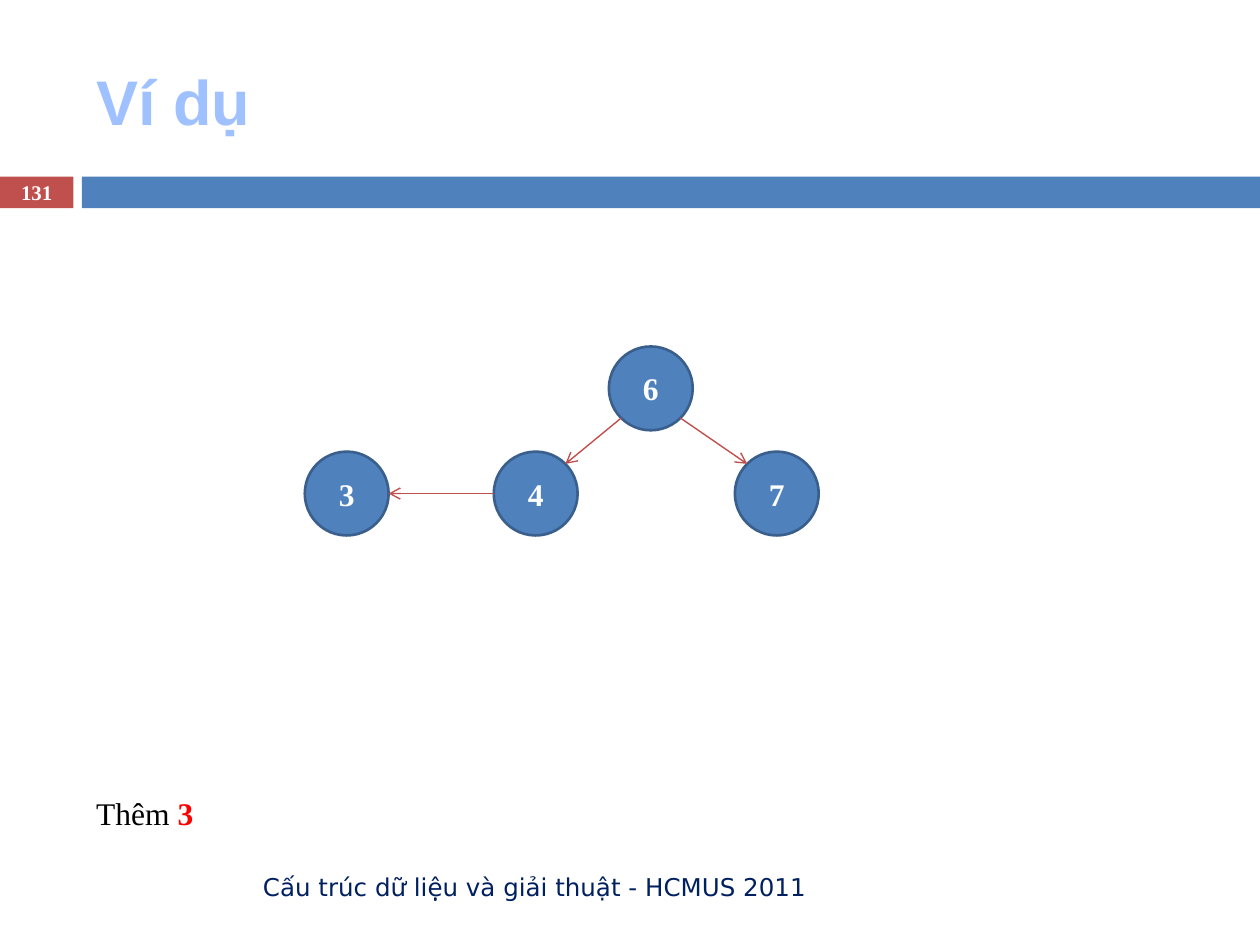
from math import sqrt

from lxml import etree
from pptx import Presentation
from pptx.dml.color import RGBColor
from pptx.enum.shapes import MSO_CONNECTOR, MSO_SHAPE
from pptx.enum.text import MSO_ANCHOR, MSO_AUTO_SIZE, PP_ALIGN
from pptx.oxml.ns import qn
from pptx.util import Cm, Pt

RECT = MSO_SHAPE.RECTANGLE
OVAL = MSO_SHAPE.OVAL
LINE = MSO_CONNECTOR.STRAIGHT
TOP = MSO_ANCHOR.TOP
MID = MSO_ANCHOR.MIDDLE
FIXED = MSO_AUTO_SIZE.NONE
GROW = MSO_AUTO_SIZE.SHAPE_TO_FIT_TEXT
LEFT = PP_ALIGN.LEFT
CENTER = PP_ALIGN.CENTER
RIGHT = PP_ALIGN.RIGHT

SERIF = "Times New Roman"
BLUE = "4F81BD"
RED = "C0504D"
WHITE = "FFFFFF"
SIZE = 1.69
DIAG = SIZE / 2 / sqrt(2)
NODES = {
    "6": (13.12, 7.83),
    "7": (15.66, 9.95),
    "4": (10.8, 9.95),
    "3": (6.99, 9.95),
}
EDGES = [
    ("6", (-DIAG, DIAG), "4", (DIAG, -DIAG)),
    ("6", (DIAG, DIAG), "7", (-DIAG, -DIAG)),
    ("4", (-SIZE / 2, 0), "3", (SIZE / 2, 0)),
]


def paint(form, color):
    form.solid()
    form.fore_color.rgb = RGBColor.from_string(color)


def write(frame, runs, align=LEFT, anchor=MID, fit=FIXED):
    frame.word_wrap = True
    frame.auto_size = fit
    frame.vertical_anchor = anchor
    para = frame.paragraphs[0]
    para.alignment = align
    for text, size, face, color, bold in runs:
        run = para.add_run()
        run.text = text
        run.font.size = Pt(size)
        run.font.name = face
        run.font.bold = bold
        paint(run.font.fill, color)


def add_shape(slide, kind, box, color):
    shape = slide.shapes.add_shape(kind, *map(Cm, box))
    shape.shadow.inherit = False
    paint(shape.fill, color)
    shape.line.fill.background()
    return shape


def add_text(slide, box, runs, **style):
    frame = slide.shapes.add_textbox(*map(Cm, box)).text_frame
    write(frame, runs, **style)
    return frame


def add_node(slide, label, x, y):
    box = (x - SIZE / 2, y - SIZE / 2, SIZE, SIZE)
    node = add_shape(slide, OVAL, box, BLUE)
    paint(node.line.fill, "3A5F8C")
    node.line.width = Pt(1.5)
    write(node.text_frame, [(label, 18, SERIF, WHITE, True)], align=CENTER)


def add_arrow(slide, start, end):
    arrow = slide.shapes.add_connector(LINE, *map(Cm, start + end))
    paint(arrow.line.fill, RED)
    arrow.line.width = Pt(0.79)
    props = arrow._element.spPr
    etree.SubElement(props.find(qn("a:ln")), qn("a:tailEnd"), type="arrow")
    etree.SubElement(props, qn("a:effectLst"))


def shift(label, step):
    x, y = NODES[label]
    return x + step[0], y + step[1]


def add_title(slide, text):
    title = slide.shapes.title
    title.left, title.top, title.width, title.height = map(
        Cm, (1.69, 0.64, 22.65, 2.75))
    write(title.text_frame, [(text, 36, "Arial", "A0C1FF", True)])


def main():
    deck = Presentation()
    deck.slide_width, deck.slide_height = Cm(25.4), Cm(19.05)
    slide = deck.slides.add_slide(deck.slide_layouts[5])

    add_shape(slide, RECT, (0, 3.56, 1.48, 0.64), RED)
    add_shape(slide, RECT, (1.65, 3.56, 23.75, 0.64), BLUE)
    add_title(slide, "Ví dụ")
    add_text(slide, (1.69, 17.36, 14.82, 1.02),
             [("Cấu trúc dữ liệu và giải thuật - HCMUS 2011",
               14, "DejaVu Sans", "002060", False)], align=RIGHT)
    page = add_text(slide, (0, 3.54, 1.48, 0.68),
                    [("131", 11.9, SERIF, WHITE, True)], align=CENTER)
    page.margin_left = page.margin_right = 0
    page.margin_top = page.margin_bottom = 0

    for label, (x, y) in NODES.items():
        add_node(slide, label, x, y)
    for parent, out, child, into in EDGES:
        add_arrow(slide, shift(parent, out), shift(child, into))

    add_text(slide, (1.69, 15.88, 6.99, 1.02),
             [("Thêm ", 18, SERIF, "000000", False),
              ("3", 18, SERIF, "FF0000", True)], anchor=TOP, fit=GROW)
    deck.save("out.pptx")


if __name__ == "__main__":
    main()
